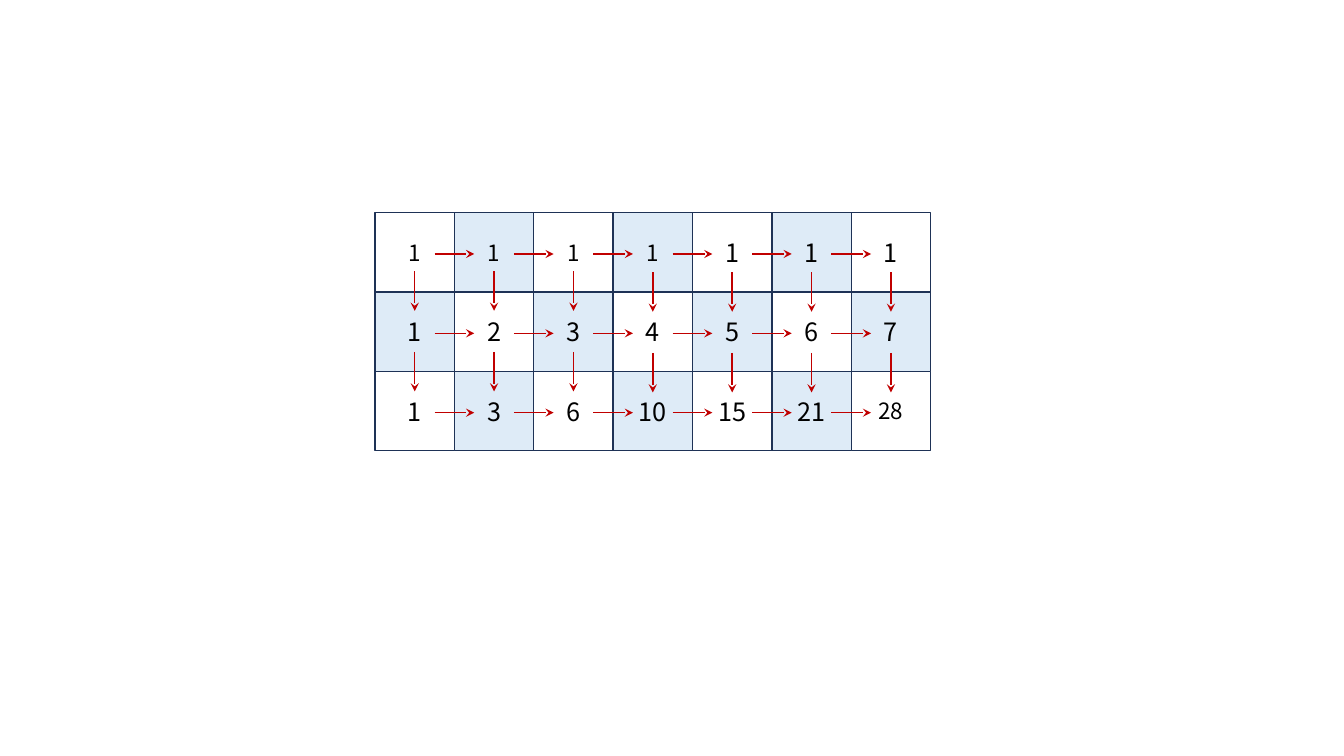
from itertools import product
from math import comb

from lxml import etree
from pptx import Presentation
from pptx import util as u
from pptx.dml.color import RGBColor
from pptx.enum import shapes, text
from pptx.oxml import ns

ROWS, COLS = 3, 7
LEFT, TOP = 3.72, 2.11
CELL = 5.51 / COLS
ARROW = CELL / 2


def color(hex_code):
    return RGBColor.from_string(hex_code)


class GridSlide:
    font = "Noto Sans CJK SC"
    ink, border, arrow_red = "000000", "1E3256", "C00000"
    fills = ("FFFFFF", "DEEBF7")

    def __init__(self, s):
        self.s = s

    def cell(self, x, y, label, fill, size):
        sp = self.s.shapes.add_shape(
            shapes.MSO_SHAPE.RECTANGLE,
            u.Inches(x), u.Inches(y), u.Inches(CELL), u.Inches(CELL))
        sp.shadow.inherit = False
        sp.fill.solid()
        sp.fill.fore_color.rgb = color(fill)
        sp.line.color.rgb = color(self.border)
        sp.line.width = u.Pt(1)
        tf = sp.text_frame
        tf.vertical_anchor = text.MSO_ANCHOR.MIDDLE
        p = tf.paragraphs[0]
        p.text = label
        p.alignment = text.PP_ALIGN.CENTER
        p.font.name = self.font
        p.font.size = u.Pt(size)
        p.font.color.rgb = color(self.ink)

    def arrow(self, x, y, dx=0, dy=0):
        line = self.s.shapes.add_connector(
            shapes.MSO_CONNECTOR.STRAIGHT,
            u.Inches(x), u.Inches(y), u.Inches(x + dx), u.Inches(y + dy))
        line.line.color.rgb = color(self.arrow_red)
        line.line.width = u.Pt(1)
        ln = line.line._get_or_add_ln()
        etree.SubElement(ln, ns.qn("a:tailEnd"), type="stealth")
        etree.SubElement(line._element.spPr, ns.qn("a:effectLst"))


def main():
    prs = Presentation()
    prs.slide_width, prs.slide_height = u.Inches(13.33), u.Inches(7.5)
    grid = GridSlide(prs.slides.add_slide(prs.slide_layouts[6]))

    # Checkered cells, each counting the paths that reach it
    small_cells = {(0, 0), (0, 1), (0, 2), (0, 3), (2, 6)}
    for row, col in product(range(ROWS), range(COLS)):
        grid.cell(LEFT + col * CELL, TOP + row * CELL,
                  str(comb(row + col, row)), grid.fills[(row + col) % 2],
                  16 if (row, col) in small_cells else 18)

    # Steps to the right
    for col, row in product(range(COLS - 1), range(ROWS)):
        grid.arrow(LEFT + (col + 0.75) * CELL, 2.52 + row * CELL, dx=ARROW)

    # Steps down, the right-hand columns slightly lower
    for row, col in product(range(ROWS - 1), range(COLS)):
        start = 2.69 if col < 3 else 2.7
        grid.arrow(LEFT + (col + 0.5) * CELL, start + row * 0.8, dy=ARROW)

    prs.save("out.pptx")


if __name__ == "__main__":
    main()
